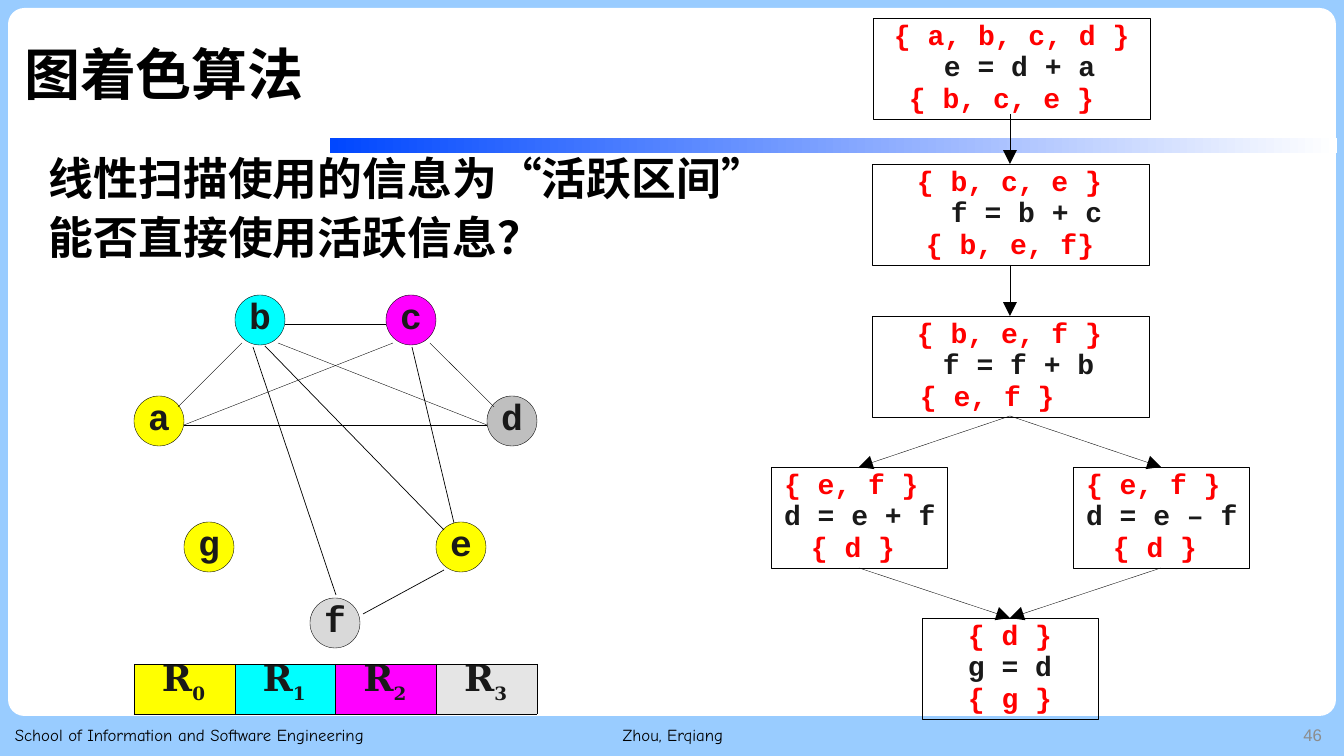
from dataclasses import dataclass
from typing import NamedTuple

from lxml import etree
from pptx import Presentation
from pptx.dml.color import RGBColor
from pptx.enum.shapes import MSO_CONNECTOR, MSO_SHAPE
from pptx.enum.text import MSO_ANCHOR, PP_ALIGN
from pptx.oxml.ns import qn
from pptx.util import Emu, Pt

RECTANGLE = MSO_SHAPE.RECTANGLE
ROUNDED = MSO_SHAPE.ROUNDED_RECTANGLE
OVAL = MSO_SHAPE.OVAL
STRAIGHT = MSO_CONNECTOR.STRAIGHT
LEFT, CENTER, RIGHT = PP_ALIGN.LEFT, PP_ALIGN.CENTER, PP_ALIGN.RIGHT
TOP, MIDDLE = MSO_ANCHOR.TOP, MSO_ANCHOR.MIDDLE
EMU_PER_PX = 914400 / 100.8


@dataclass(frozen=True)
class Theme:
    border: str = "99CCFF"
    white: str = "FFFFFF"
    bar: str = "0047FF"
    black: str = "000000"
    code: str = "191919"
    live: str = "FF0000"
    page: str = "8C8C8C"
    yellow: str = "FFFF00"
    cyan: str = "00FFFF"
    magenta: str = "FF00FF"
    gray: str = "BFBFBF"
    light_gray: str = "D9D9D9"
    pale_gray: str = "E5E5E5"
    heading_font: str = "Noto Sans CJK SC"
    code_font: str = "Courier New"
    register_font: str = "DejaVu Serif"
    footer_font: str = "Comic Neue"
    page_font: str = "Arial"
    title_size: float = 40
    body_size: float = 32
    node_size: float = 26
    subscript_size: float = 22.5
    code_size: float = 20
    footer_size: float = 12
    thin: float = 0.25
    medium: float = 0.5


THEME = Theme()


class Line(NamedTuple):
    text: str
    indent: int


class Block(NamedTuple):
    left: int
    top: int
    width: int
    live_in: Line
    code: Line
    live_out: Line


class Node(NamedTuple):
    name: str
    left: int
    top: int
    color: str


class Edge(NamedTuple):
    x1: int
    y1: int
    x2: int
    y2: int
    width: float = THEME.thin
    arrow: bool = False


class Footer(NamedTuple):
    text: str
    left: int
    width: int
    align: PP_ALIGN
    font: str
    color: str


BLOCK_HEIGHT = 101
NODE_SIZE = 50
BLOCKS = [
    Block(873, 18, 277, Line("{ a, b, c, d }", 21), Line("e = d + a", 71), Line("{ b, c, e }", 36)),
    Block(872, 164, 277, Line("{ b, c, e }", 45), Line("f = b + c", 79), Line("{ b, e, f}", 54)),
    Block(872, 316, 277, Line("{ b, e, f }", 45), Line("f = f + b", 71), Line("{ e, f }", 48)),
    Block(771, 467, 176, Line("{ e, f }", 13), Line("d = e + f", 13), Line("{ d }", 40)),
    Block(1073, 467, 176, Line("{ e, f }", 13), Line("d = e – f", 13), Line("{ d }", 40)),
    Block(922, 618, 176, Line("{ d }", 46), Line("g = d", 46), Line("{ g }", 46)),
]
FLOW = [
    Edge(1010, 114, 1010, 164, arrow=True),
    Edge(1010, 265, 1010, 316, arrow=True),
    Edge(1010, 416, 859, 467, arrow=True),
    Edge(1010, 416, 1161, 467, arrow=True),
    Edge(859, 568, 1010, 618, arrow=True),
    Edge(1161, 568, 1010, 618, arrow=True),
]
NODES = [
    Node("a", 134, 396, THEME.yellow),
    Node("b", 235, 295, THEME.cyan),
    Node("c", 386, 295, THEME.magenta),
    Node("d", 487, 396, THEME.gray),
    Node("e", 436, 522, THEME.yellow),
    Node("f", 310, 598, THEME.light_gray),
    Node("g", 184, 522, THEME.yellow),
]
INTERFERENCE = [
    Edge(178, 407, 242, 343),
    Edge(285, 324, 386, 324),
    Edge(430, 343, 494, 407),
    Edge(184, 425, 487, 425),
    Edge(393, 343, 184, 425),
    Edge(278, 343, 487, 425),
    Edge(265, 346, 444, 530, THEME.medium),
    Edge(412, 347, 454, 523, THEME.medium),
    Edge(253, 347, 336, 595, THEME.medium),
    Edge(444, 570, 363, 614, THEME.medium),
]
REGISTERS = [THEME.yellow, THEME.cyan, THEME.magenta, THEME.pale_gray]
FOOTERS = [
    Footer("School of Information and Software Engineering", 5, 435, LEFT, THEME.footer_font, THEME.black),
    Footer("Zhou, Erqiang", 446, 454, CENTER, THEME.footer_font, THEME.black),
    Footer("46", 1030, 302, RIGHT, THEME.page_font, THEME.page),
]


def px(value: int) -> Emu:
    return Emu(round(value * EMU_PER_PX))


def rgb(color: str) -> RGBColor:
    return RGBColor.from_string(color)


def add_run(paragraph, text: str, font: str, size: float, color: str, bold: bool = True):
    run = paragraph.add_run()
    run.text = text
    run.font.name = font
    run.font.size = Pt(size)
    run.font.bold = bold
    run.font.color.rgb = rgb(color)
    east_asian = etree.SubElement(run.font._element, qn("a:ea"))
    east_asian.set("typeface", font)
    return run


def indent(paragraph, margin: int, first: int = 0) -> None:
    properties = paragraph._p.get_or_add_pPr()
    properties.set("marL", str(px(margin)))
    properties.set("indent", str(px(first)))


def clear_margins(frame) -> None:
    frame.margin_left = frame.margin_right = frame.margin_top = frame.margin_bottom = 0


def add_shape(slide, kind, left: int, top: int, width: int, height: int, fill: str = "", line: str = ""):
    shape = slide.shapes.add_shape(kind, px(left), px(top), px(width), px(height))
    shape.shadow.inherit = False
    if fill:
        shape.fill.solid()
        shape.fill.fore_color.rgb = rgb(fill)
    else:
        shape.fill.background()
    if line:
        shape.line.color.rgb = rgb(line)
        shape.line.width = Pt(THEME.thin)
    else:
        shape.line.fill.background()
    return shape


def add_text_box(slide, left: int, top: int, width: int, height: int):
    frame = slide.shapes.add_textbox(px(left), px(top), px(width), px(height)).text_frame
    frame.word_wrap = True
    return frame


def add_frame(slide) -> None:
    slide.background.fill.solid()
    slide.background.fill.fore_color.rgb = rgb(THEME.border)
    panel = add_shape(slide, ROUNDED, 8, 8, 1328, 708, THEME.white)
    panel.adjustments[0] = 0.023
    bar = add_shape(slide, RECTANGLE, 330, 138, 1007, 15)
    bar.fill.gradient()
    bar.fill.gradient_angle = 0
    for stop, color, position in zip(bar.fill.gradient_stops, (THEME.bar, THEME.white), (0, 1)):
        stop.color.rgb = rgb(color)
        stop.position = position
    title = slide.shapes.title
    bar._element.addnext(title._element)
    title.left, title.top, title.width, title.height = px(14), px(15), px(1267), px(125)
    title.text_frame.vertical_anchor = MIDDLE
    paragraph = title.text_frame.paragraphs[0]
    paragraph.alignment = LEFT
    paragraph.line_spacing = 0.9
    add_run(paragraph, "图着色算法", THEME.heading_font, THEME.title_size, THEME.black)


def add_body(slide) -> None:
    frame = add_text_box(slide, 27, 153, 761, 146)
    for index, text in enumerate(("线性扫描使用的信息为“活跃区间”", "能否直接使用活跃信息？")):
        paragraph = frame.add_paragraph() if index else frame.paragraphs[0]
        paragraph.line_spacing = 0.88
        paragraph.space_before = Pt(8)
        indent(paragraph, 47, -35)
        add_run(paragraph, text, THEME.heading_font, THEME.body_size, THEME.black)


def add_footer(slide, footer: Footer) -> None:
    frame = add_text_box(slide, footer.left, 715, footer.width, 40)
    frame.vertical_anchor = MIDDLE
    paragraph = frame.paragraphs[0]
    paragraph.alignment = footer.align
    add_run(paragraph, footer.text, footer.font, THEME.footer_size, footer.color, False)


def add_block(slide, block: Block) -> None:
    shape = add_shape(slide, RECTANGLE, block.left, block.top, block.width, BLOCK_HEIGHT, line=THEME.black)
    frame = shape.text_frame
    clear_margins(frame)
    frame.margin_top = px(1)
    frame.word_wrap = True
    frame.vertical_anchor = TOP
    colors = (THEME.live, THEME.code, THEME.live)
    for index, (line, color) in enumerate(zip((block.live_in, block.code, block.live_out), colors)):
        paragraph = frame.add_paragraph() if index else frame.paragraphs[0]
        paragraph.alignment = LEFT
        paragraph.line_spacing = Pt(22.6)
        indent(paragraph, line.indent)
        add_run(paragraph, line.text, THEME.code_font, THEME.code_size, color)


def add_node(slide, node: Node) -> None:
    shape = add_shape(slide, OVAL, node.left, node.top, NODE_SIZE, NODE_SIZE, node.color, THEME.black)
    frame = shape.text_frame
    clear_margins(frame)
    frame.margin_bottom = px(11)
    frame.word_wrap = True
    frame.vertical_anchor = MIDDLE
    paragraph = frame.paragraphs[0]
    paragraph.alignment = CENTER
    add_run(paragraph, node.name, THEME.code_font, THEME.node_size, THEME.code)


def add_edge(slide, edge: Edge) -> None:
    connector = slide.shapes.add_connector(STRAIGHT, px(edge.x1), px(edge.y1), px(edge.x2), px(edge.y2))
    connector.line.color.rgb = rgb(THEME.black)
    connector.line.width = Pt(edge.width)
    if edge.arrow:
        etree.SubElement(connector.line._get_or_add_ln(), qn("a:tailEnd"), type="triangle", w="lg", len="lg")
    etree.SubElement(connector._element.spPr, qn("a:effectLst"))


def add_cell_borders(cell) -> None:
    properties = cell._tc.get_or_add_tcPr()
    for index, side in enumerate(("a:lnL", "a:lnR", "a:lnT", "a:lnB")):
        border = etree.Element(qn(side), w=str(Pt(THEME.thin)))
        fill = etree.SubElement(border, qn("a:solidFill"))
        etree.SubElement(fill, qn("a:srgbClr"), val=THEME.black)
        properties.insert(index, border)


def add_registers(slide) -> None:
    table = slide.shapes.add_table(1, len(REGISTERS), px(134), px(664), px(403), px(50)).table
    table.first_row = table.horz_banding = False
    for index, color in enumerate(REGISTERS):
        cell = table.cell(0, index)
        clear_margins(cell)
        cell.margin_left = px(28)
        cell.fill.solid()
        cell.fill.fore_color.rgb = rgb(color)
        add_cell_borders(cell)
        paragraph = cell.text_frame.paragraphs[0]
        paragraph.line_spacing = Pt(29.4)
        add_run(paragraph, "R", THEME.register_font, THEME.node_size, THEME.code)
        subscript = add_run(paragraph, str(index), THEME.register_font, THEME.subscript_size, THEME.code)
        subscript.font._element.set("baseline", "-31000")


def main() -> None:
    presentation = Presentation()
    presentation.slide_width, presentation.slide_height = px(1344), px(756)
    slide = presentation.slides.add_slide(presentation.slide_layouts[5])
    add_frame(slide)
    add_body(slide)
    for footer in FOOTERS:
        add_footer(slide, footer)
    for block in BLOCKS:
        add_block(slide, block)
    for node in NODES:
        add_node(slide, node)
    for edge in FLOW + INTERFERENCE:
        add_edge(slide, edge)
    add_registers(slide)
    presentation.save("out.pptx")


if __name__ == "__main__":
    main()
